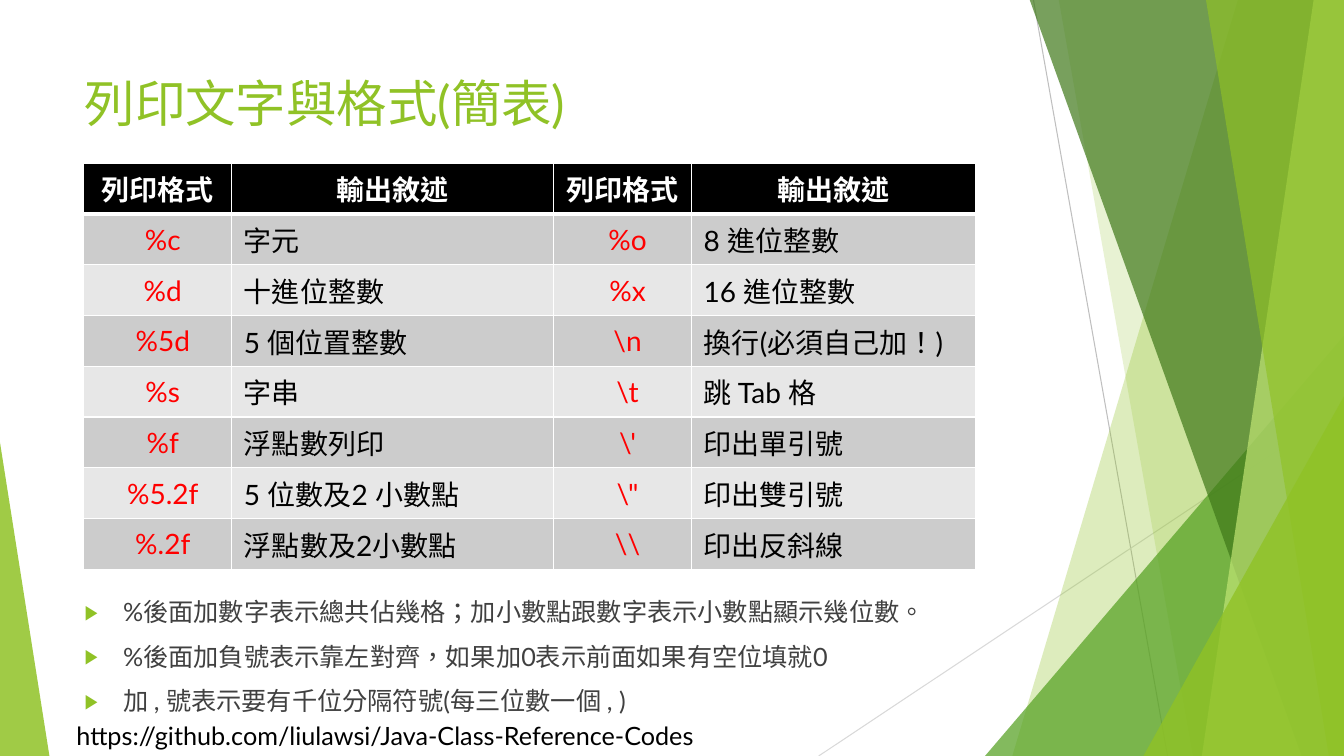
from lxml import etree
from pptx import Presentation
from pptx.dml.color import RGBColor
from pptx.enum.shapes import MSO_CONNECTOR, MSO_SHAPE
from pptx.enum.text import MSO_ANCHOR, MSO_AUTO_SIZE, PP_ALIGN
from pptx.oxml.ns import qn
from pptx.util import Inches, Pt

STRAIGHT = MSO_CONNECTOR.STRAIGHT
TRIANGLE = MSO_SHAPE.ISOSCELES_TRIANGLE
TOP, MIDDLE = MSO_ANCHOR.TOP, MSO_ANCHOR.MIDDLE
FIXED, GROW = MSO_AUTO_SIZE.NONE, MSO_AUTO_SIZE.SHAPE_TO_FIT_TEXT
LEFT, CENTER = PP_ALIGN.LEFT, PP_ALIGN.CENTER

FONT, LANGUAGE = "Lato", "zh-TW"
GREEN, WHITE, BLACK, RED = "90C226", "FFFFFF", "000000", "FF0000"
WIDTH, HEIGHT, BLEED = 13.33, 7.5, -0.01

# Each band: left edge at the top, left edge at the bottom, colour, opacity
PALE_BANDS = [(12.28, 10.04, GREEN, 30), (10.5, 11.83, GREEN, 20)]
STRONG_BANDS = [(10.21, 12.91, "3F7819", 70), (13.03, 11.92, "C0E474", 70),
                (11.96, 13.18, GREEN, 65)]

HEADINGS = ["列印格式", "輸出敘述"] * 2
FORMATS = [
    ["%c", "字元", "%o", "8 進位整數"],
    ["%d", "十進位整數", "%x", "16 進位整數"],
    ["%5d", "5 個位置整數", r"\n", "換行(必須自己加！)"],
    ["%s", "字串", r"\t", "跳 Tab 格"],
    ["%f", "浮點數列印", r"\'", "印出單引號"],
    ["%5.2f", "5 位數及2 小數點", r"\"", "印出雙引號"],
    ["%.2f", "浮點數及2小數點", r"\\", "印出反斜線"],
]
COLUMN_WIDTHS = [1.47, 3.19, 1.37, 2.82]
ROW_HEIGHT = 3.82 / 8

NOTES = [
    "%後面加數字表示總共佔幾格；加小數點跟數字表示小數點顯示幾位數。",
    "%後面加負號表示靠左對齊，如果加0表示前面如果有空位填就0",
    "加 , 號表示要有千位分隔符號(每三位數一個 , )",
]


def rgb(value):
    return RGBColor.from_string(value)


def add_run(para, text, size, color, bold=False):
    span = para.add_run()
    span.text = text
    span.font.name = FONT
    span.font.size = Pt(size)
    span.font.bold = bold
    span.font.color.rgb = rgb(color)
    span._r.get_or_add_rPr().set("lang", LANGUAGE)


def paint(shape, color, opacity):
    """Give a shape a translucent fill with no outline or shadow."""
    shape.shadow.inherit = False
    shape.line.fill.background()
    shape.fill.solid()
    shape.fill.fore_color.rgb = rgb(color)
    solid = shape.element.spPr.find(qn("a:solidFill"))
    etree.SubElement(solid[0], qn("a:alpha"), val=str(opacity * 1000))


def add_band(page, top_left, bottom_left, color, opacity):
    """Draw a slanted band that reaches the right edge of the page."""
    corners = [(WIDTH, BLEED), (WIDTH, HEIGHT), (bottom_left, HEIGHT)]
    builder = page.shapes.build_freeform(Inches(top_left), Inches(BLEED))
    builder.add_line_segments([(Inches(x), Inches(y)) for x, y in corners], close=True)
    paint(builder.convert_to_shape(), color, opacity)


def add_triangle(page, left, top, width, apex, color, opacity):
    """Draw a triangle that stands on the bottom edge of the page."""
    triangle = page.shapes.add_shape(TRIANGLE, Inches(left), Inches(top),
                                     Inches(width), Inches(HEIGHT - top))
    triangle.adjustments[0] = apex
    paint(triangle, color, opacity)


def add_line(page, start, end, color):
    line = page.shapes.add_connector(STRAIGHT, *[Inches(v) for v in start + end])
    line.line.color.rgb = rgb(color)
    line.line.width = Pt(0.75)
    etree.SubElement(line.element.spPr, qn("a:effectLst"))


def add_decoration(page):
    add_line(page, (10.25, 0), (11.58, HEIGHT), "BFBFBF")
    add_line(page, (WIDTH, 4.03), (8.12, HEIGHT), "D9D9D9")
    for band in PALE_BANDS:
        add_band(page, *band)
    add_triangle(page, 9.77, 3.33, 3.56, 1, "54A021", 72)
    for band in STRONG_BANDS:
        add_band(page, *band)
    add_triangle(page, 11.34, 3.93, 1.99, 1, GREEN, 80)
    add_triangle(page, 0, 4.39, 0.49, 0, GREEN, 85)


def add_address(page, text):
    box = page.shapes.add_textbox(Inches(0.66), Inches(7.1), Inches(6.7), Inches(0.4))
    box.text_frame.word_wrap = False
    box.text_frame.auto_size = GROW
    add_run(box.text_frame.paragraphs[0], text, 18, BLACK)


def place(placeholder, top, height):
    """Move a placeholder in front of the decoration and return its text frame."""
    placeholder.left, placeholder.top = Inches(0.74), Inches(top)
    placeholder.width, placeholder.height = Inches(9.4), Inches(height)
    placeholder.element.getparent().append(placeholder.element)
    frame = placeholder.text_frame
    frame.auto_size = FIXED
    frame.vertical_anchor = TOP
    return frame


def fill_title(title, text):
    para = place(title, 0.67, 0.9).paragraphs[0]
    para.alignment = LEFT
    add_run(para, text, 36, GREEN)


def add_bullet(para):
    properties = para._p.get_or_add_pPr()
    properties.set("marL", str(Inches(0.38)))
    properties.set("indent", str(-Inches(0.38)))
    color = etree.SubElement(properties, qn("a:buClr"))
    etree.SubElement(color, qn("a:srgbClr"), val=GREEN)
    etree.SubElement(properties, qn("a:buSzPct"), val="80000")
    etree.SubElement(properties, qn("a:buFont"), typeface=FONT)
    etree.SubElement(properties, qn("a:buChar"), char="▶")


def fill_notes(body):
    frame = place(body, 5.87, 1.3)
    for index, note in enumerate(NOTES):
        para = frame.add_paragraph() if index else frame.paragraphs[0]
        add_bullet(para)
        para.space_before = Pt(10 if index else 0)
        add_run(para, note, 18, "404040")


def add_borders(cell, bottom):
    properties = cell._tc.get_or_add_tcPr()
    for side, width in (("L", 1), ("R", 1), ("T", 1), ("B", bottom)):
        line = etree.SubElement(properties, qn(f"a:ln{side}"), w=str(Pt(width)))
        solid = etree.SubElement(line, qn("a:solidFill"))
        etree.SubElement(solid, qn("a:srgbClr"), val=WHITE)


def fill_cell(cell, text, fill, color, centered, heading):
    add_borders(cell, 3 if heading else 1)
    cell.fill.solid()
    cell.fill.fore_color.rgb = rgb(fill)
    cell.vertical_anchor = MIDDLE
    cell.margin_left = cell.margin_right = Inches(0.02)
    cell.margin_top = cell.margin_bottom = Inches(0.05)
    para = cell.text_frame.paragraphs[0]
    para.alignment = CENTER if centered else LEFT
    if not heading:
        para._p.get_or_add_pPr().set("marL", str(Inches(0.1)))
    add_run(para, text, 20, color, bold=heading)


def add_format_table(page):
    rows = [HEADINGS] + FORMATS
    table = page.shapes.add_table(
        len(rows), len(HEADINGS), Inches(0.83), Inches(1.62),
        Inches(sum(COLUMN_WIDTHS)), Inches(ROW_HEIGHT * len(rows))).table
    for column, width in zip(table.columns, COLUMN_WIDTHS):
        column.width = Inches(width)
    for r, texts in enumerate(rows):
        heading = r == 0
        fill = BLACK if heading else ("E7E7E7", "CCCCCC")[r % 2]
        for c, text in enumerate(texts):
            is_code = c % 2 == 0
            color = WHITE if heading else RED if is_code else BLACK
            fill_cell(table.cell(r, c), text, fill, color, heading or is_code, heading)


def main():
    deck = Presentation()
    deck.slide_width, deck.slide_height = Inches(WIDTH), Inches(HEIGHT)
    page = deck.slides.add_slide(deck.slide_layouts[1])
    title, body = page.placeholders
    add_decoration(page)
    add_address(page, "https://github.com/liulawsi/Java-Class-Reference-Codes")
    fill_title(title, "列印文字與格式(簡表)")
    fill_notes(body)
    add_format_table(page)
    deck.save("out.pptx")


if __name__ == "__main__":
    main()
